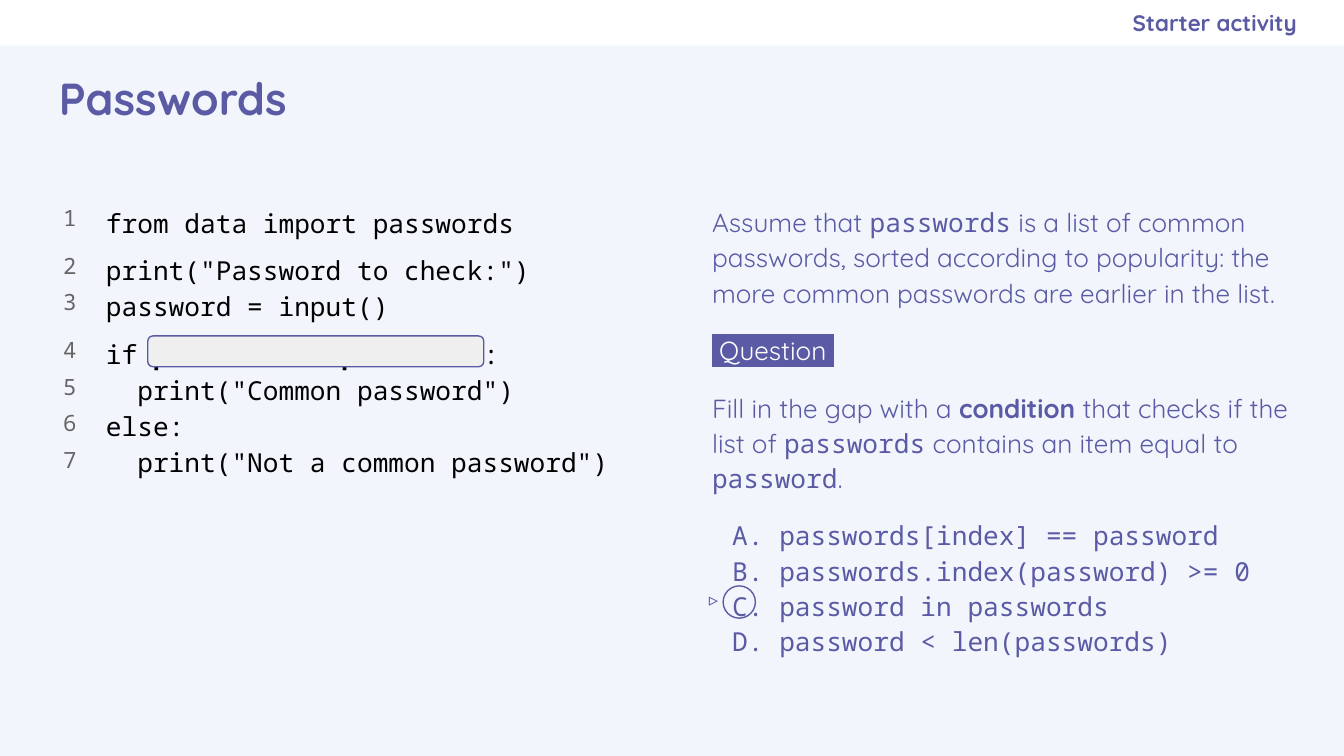
"""Build the "Passwords" starter activity slide."""
from dataclasses import dataclass
from typing import Optional

from lxml.etree import SubElement
from pptx import Presentation
from pptx.dml.color import RGBColor
from pptx.enum.shapes import MSO_SHAPE as Preset
from pptx.enum.text import MSO_ANCHOR as Anchor, PP_ALIGN as Align
from pptx.oxml.ns import qn
from pptx.util import Pt


@dataclass(frozen=True)
class Theme:
    page: str = "F2F6FC"
    white: str = "FFFFFF"
    accent: str = "5B5BA5"
    code: str = "000000"
    number: str = "666666"
    gap: str = "EFEFEF"
    sans: str = "Quicksand"
    mono: str = "Noto Sans Mono"
    title_size: float = 24
    body_size: float = 14
    small_size: float = 12
    marker_size: float = 10
    outline: float = 0.75


THEME = Theme()


@dataclass(frozen=True)
class Box:
    left: float
    top: float
    width: float
    height: float

    def lengths(self):
        return tuple(Pt(v) for v in (self.left, self.top, self.width, self.height))


@dataclass(frozen=True)
class Span:
    text: str
    font: Optional[str] = None
    bold: Optional[bool] = None
    highlight: Optional[str] = None


@dataclass(frozen=True)
class Para:
    spans: tuple
    before: float = 0
    lettered: bool = False


@dataclass(frozen=True)
class Style:
    size: float
    font: str = THEME.sans
    color: str = THEME.accent
    bold: bool = False
    align: Align = Align.LEFT
    anchor: Anchor = Anchor.TOP
    spacing: float = 1.0
    insets: tuple = (7.2, 7.2, 7.2, 7.2)


def line(text: str, before: float = 0, lettered: bool = False) -> Para:
    return Para((Span(text),), before, lettered)


def mono(text: str) -> Span:
    return Span(text, font=THEME.mono)


def rgb(color: str) -> RGBColor:
    return RGBColor.from_string(color)


def add_color(parent, tag: str, color: str) -> None:
    SubElement(SubElement(parent, qn(tag)), qn("a:srgbClr")).set("val", color)


def add_letter(paragraph) -> None:
    properties = paragraph._p.get_or_add_pPr()
    properties.set("marL", str(Pt(36)))
    properties.set("indent", str(Pt(-25.2)))
    add_color(properties, "a:buClr", THEME.accent)
    SubElement(properties, qn("a:buAutoNum")).set("type", "alphaUcPeriod")


def write(frame, paras: list, style: Style) -> None:
    frame.word_wrap = True
    frame.vertical_anchor = style.anchor
    (frame.margin_left, frame.margin_top,
     frame.margin_right, frame.margin_bottom) = (Pt(v) for v in style.insets)
    for index, para in enumerate(paras):
        paragraph = frame.add_paragraph() if index else frame.paragraphs[0]
        paragraph.alignment = style.align
        paragraph.line_spacing = style.spacing
        paragraph.space_before = Pt(para.before)
        if para.lettered:
            add_letter(paragraph)
        font = paragraph.font
        font.size, font.bold = Pt(style.size), style.bold
        font.color.rgb = rgb(style.color)
        fonts = {span.font or style.font for span in para.spans}
        font.name = fonts.pop() if len(fonts) == 1 else style.font
        for span in para.spans:
            run = paragraph.add_run()
            run.text = span.text
            if span.bold is not None:
                run.font.bold = span.bold
            if span.highlight:
                run.font.color.rgb = rgb(THEME.white)
                add_color(run._r.get_or_add_rPr(), "a:highlight", span.highlight)
            if span.font:
                run.font.name = span.font


def add_text(shapes, box: Box, paras: list, style: Style) -> None:
    write(shapes.add_textbox(*box.lengths()).text_frame, paras, style)


def add_preset(shapes, preset: Preset, box: Box,
               fill: Optional[str] = None, outline: Optional[str] = None):
    shape = shapes.add_shape(preset, *box.lengths())
    shape.shadow.inherit = False
    if fill:
        shape.fill.solid()
        shape.fill.fore_color.rgb = rgb(fill)
    else:
        shape.fill.background()
    if outline:
        shape.line.color.rgb = rgb(outline)
        shape.line.width = Pt(THEME.outline)
    else:
        shape.line.fill.background()
    return shape


CODE = [
    line("from data import passwords"),
    line('print("Password to check:")', before=6),
    line("password = input()"),
    Para((Span("if "), Span("password in passwords", bold=True), Span(":")), before=6),
    line('  print("Common password")'),
    line("else:"),
    line('  print("Not a common password")'),
]
NUMBERS = [line(str(n), before=3 + row.before) for n, row in enumerate(CODE, 1)]
ANSWERS = ("passwords[index] == password", "passwords.index(password) >= 0",
           "password in passwords", "password < len(passwords)")
QUESTION = [
    Para((Span("Assume that "), mono("passwords"),
          Span(" is a list of common passwords, sorted according to popularity: "
               "the more common passwords are earlier in the list."))),
    Para((Span(" Question ", highlight=THEME.accent),), before=12),
    Para((Span("Fill in the gap with a "), Span("condition", bold=True),
          Span(" that checks if the list of "), mono("passwords"),
          Span(" contains an item equal to "), mono("password"), Span(".")), before=12),
    *(Para((mono(answer),), before=0 if index else 12, lettered=True)
      for index, answer in enumerate(ANSWERS)),
]


def main() -> None:
    deck = Presentation()
    deck.slide_width, deck.slide_height = Pt(720), Pt(405)
    slide = deck.slides.add_slide(deck.slide_layouts[6])
    slide.background.fill.solid()
    slide.background.fill.fore_color.rgb = rgb(THEME.page)
    shapes = slide.shapes

    add_preset(shapes, Preset.RECTANGLE, Box(0, 0, 720, 24.5), THEME.white)
    add_text(shapes, Box(374.4, 101.5, 321.8, 267), QUESTION,
             Style(THEME.body_size, spacing=1.12, insets=(7.2, 7.2, 4.3, 7.2)))
    add_text(shapes, Box(414, 0, 280.8, 24.5), [line("Starter activity")],
             Style(THEME.small_size, bold=True, align=Align.RIGHT,
                   anchor=Anchor.MIDDLE, insets=(7.2, 7.2, 0, 7.2)))
    add_text(shapes, Box(24.5, 24.5, 671, 55.4), [line("Passwords")],
             Style(THEME.title_size, bold=True, anchor=Anchor.MIDDLE))
    add_text(shapes, Box(49.7, 101.5, 301.7, 267), CODE,
             Style(THEME.body_size, THEME.mono, THEME.code, spacing=1.15))
    add_text(shapes, Box(25.2, 103, 15.8, 267), NUMBERS,
             Style(THEME.small_size, THEME.mono, THEME.number, align=Align.RIGHT,
                   spacing=1.15, insets=(0, 4.3, 0, 7.2)))
    gap = add_preset(shapes, Preset.ROUNDED_RECTANGLE, Box(79.2, 180, 180, 16.5),
                     THEME.gap, THEME.accent)
    gap.adjustments[0] = 0.17

    correct = shapes.add_group_shape().shapes
    add_preset(correct, Preset.OVAL, Box(387.4, 313.9, 17.3, 17.3), outline=THEME.accent)
    marker = add_preset(correct, Preset.OVAL, Box(373.7, 312.5, 17.3, 17.3))
    write(marker.text_frame, [line("▹")],
          Style(THEME.marker_size, align=Align.CENTER, anchor=Anchor.MIDDLE,
                insets=(0, 0, 0, 0)))
    deck.save("out.pptx")


if __name__ == "__main__":
    main()
